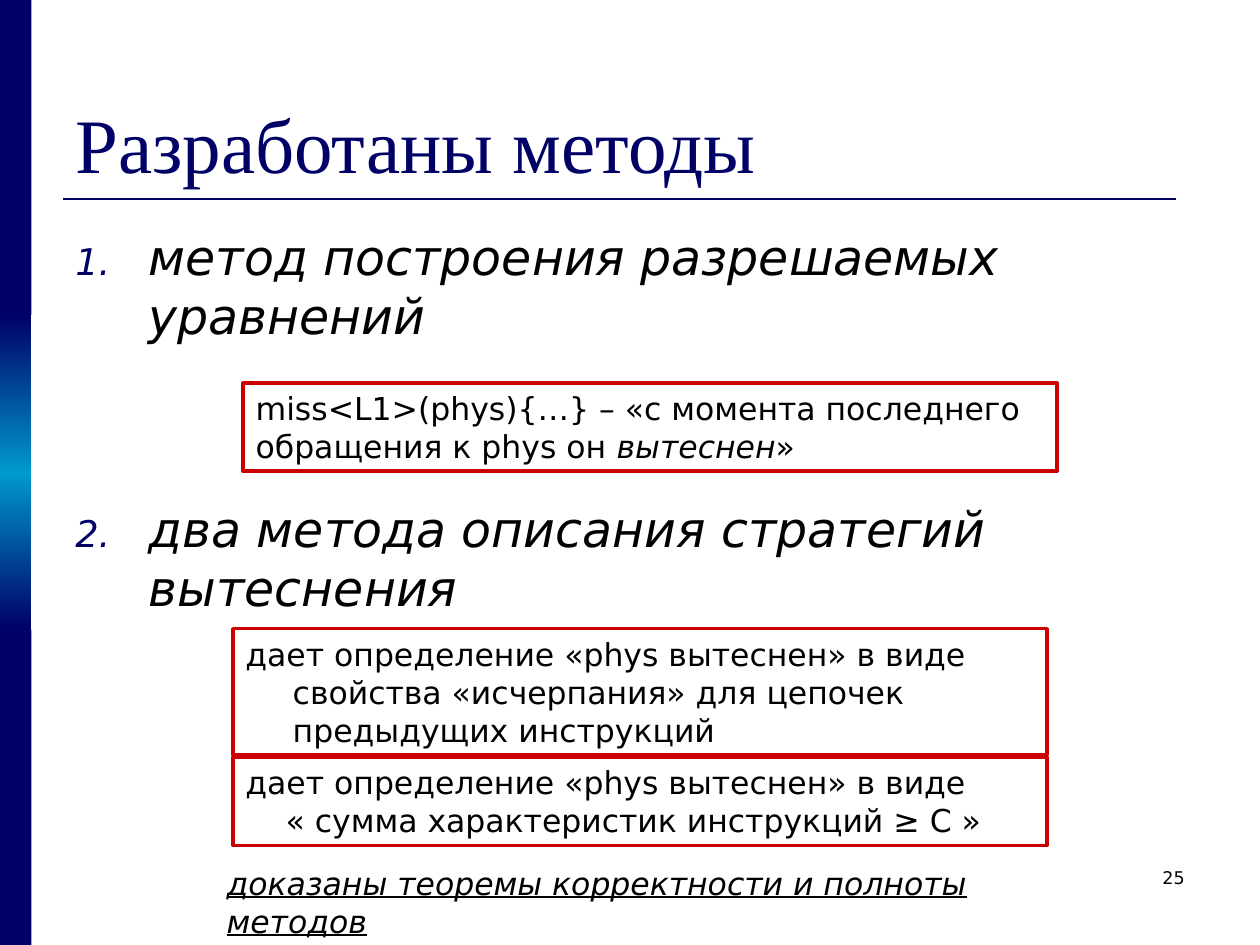
from copy import deepcopy

from lxml import etree
from pptx import Presentation
from pptx.dml.color import RGBColor
from pptx.enum.shapes import MSO_CONNECTOR, MSO_SHAPE
from pptx.enum.text import MSO_ANCHOR, PP_ALIGN
from pptx.oxml.ns import qn
from pptx.util import Pt

RECT = MSO_SHAPE.RECTANGLE
LINE = MSO_CONNECTOR.STRAIGHT
TOP, BOTTOM = MSO_ANCHOR.TOP, MSO_ANCHOR.BOTTOM
LEFT, RIGHT = PP_ALIGN.LEFT, PP_ALIGN.RIGHT
NAVY, CYAN, RED, BLACK = "000066", "0099CC", "CC0000", "000000"
SANS, SERIF = "DejaVu Sans", "Times New Roman"


def color(code):
    return RGBColor.from_string(code)


def style(para, size, name=SANS, code=BLACK, italic=False):
    font = para.font
    font.size, font.name, font.italic = Pt(size), name, italic
    font.color.rgb = color(code)


def indent(para, left, first):
    props = para._p.get_or_add_pPr()
    props.set("marL", str(Pt(left)))
    props.set("indent", str(Pt(first)))
    return props


def number(para, hang):
    props = indent(para, hang, -hang)
    tint = etree.SubElement(props, qn("a:buClr"))
    etree.SubElement(tint, qn("a:srgbClr"), val=NAVY)
    etree.SubElement(props, qn("a:buSzPct"), val="75000")
    etree.SubElement(props, qn("a:buFont"), typeface=SANS)
    etree.SubElement(props, qn("a:buAutoNum"), type="arabicPeriod")


def add_text(slide, box, text, anchor=TOP):
    frame = slide.shapes.add_textbox(*map(Pt, box)).text_frame
    frame.word_wrap = True
    frame.vertical_anchor = anchor
    frame.text = text
    return frame.paragraphs


def add_rect(slide, box):
    shape = slide.shapes.add_shape(RECT, *map(Pt, box))
    shape.shadow.inherit = False
    return shape


def add_band(slide, box):
    left, top, width, height = box
    part = height / 3
    for row in range(3):
        shape = add_rect(slide, (left, top + row * part, width, part))
        shape.line.fill.background()
        fill = shape.fill
        if row != 1:
            fill.solid()
            fill.fore_color.rgb = color(NAVY)
            continue
        fill.gradient()
        fill.gradient_angle = 90
        stops = shape._element.spPr.find(".//" + qn("a:gsLst"))
        stops.append(deepcopy(stops[0]))
        for stop, place, code in zip(fill.gradient_stops, (0, 0.5, 1), (NAVY, CYAN, NAVY)):
            stop.position = place
            stop.color.rgb = color(code)


def add_title(slide, box, text):
    left, top, width, height = box
    para = add_text(slide, box, text, BOTTOM)[0]
    style(para, 44, SERIF, NAVY)
    level = top + height + 2.2
    rule = slide.shapes.add_connector(LINE, Pt(left), Pt(level), Pt(left + width - 12), Pt(level))
    rule.line.color.rgb = color(NAVY)
    rule.line.width = Pt(1.5)
    etree.SubElement(rule._element.spPr, qn("a:effectLst"))


def add_list(slide, box, items, gap):
    for index, para in enumerate(add_text(slide, box, "\n".join(items))):
        number(para, 42)
        if index:
            para.space_before = Pt(gap)
        style(para, 28, italic=True)


def add_note(slide, box, lines):
    shape = add_rect(slide, box)
    shape.fill.background()
    shape.line.color.rgb = color(RED)
    shape.line.width = Pt(2)
    frame = shape.text_frame
    frame.word_wrap = True
    frame.vertical_anchor = TOP
    for index, (runs, left, first) in enumerate(lines):
        para = frame.add_paragraph() if index else frame.paragraphs[0]
        para.alignment = LEFT
        indent(para, left, first)
        style(para, 18)
        for text, slant in runs:
            run = para.add_run()
            run.text = text
            if slant:
                run.font.italic = True


def add_foot(slide, box, text, page):
    left, top, width, height = box
    para = add_text(slide, (left, top, 495, height), text)[0]
    style(para, 18, italic=True)
    para.font.underline = True
    para = add_text(slide, (left + width - 168, top + 1.5, 168, 36), page)[0]
    para.alignment = RIGHT
    style(para, 10)


def main():
    deck = Presentation()
    deck.slide_width, deck.slide_height = Pt(720), Pt(540)
    slide = deck.slides.add_slide(deck.slide_layouts[6])
    add_band(slide, (0, 0, 18, 540))
    add_title(slide, (36, 21.6, 648, 90), "Разработаны методы")
    add_list(slide, (36, 126, 648, 356), [
        "метод построения разрешаемых уравнений",
        "два метода описания стратегий вытеснения",
    ], 88)
    add_note(slide, (139, 218.9, 465, 50.4), [
        ([("miss<L1>(phys){…} – «с момента последнего обращения к phys он ", False),
          ("вытеснен", True), ("»", False)], 0, 0),
    ])
    add_note(slide, (133.2, 432.7, 465, 50.4), [
        ([("дает определение «phys вытеснен» в виде", False)], 27, -27),
        ([("« сумма характеристик инструкций ≥ C »", False)], 23, 0),
    ])
    add_note(slide, (133.2, 359.3, 465, 72), [
        ([("дает определение «phys вытеснен» в виде свойства «исчерпания» "
           "для цепочек предыдущих инструкций", False)], 27, -27),
    ])
    add_foot(slide, (122.4, 490.3, 561.6, 29),
             "доказаны теоремы корректности и полноты методов", "25")
    deck.save("out.pptx")


if __name__ == "__main__":
    main()
